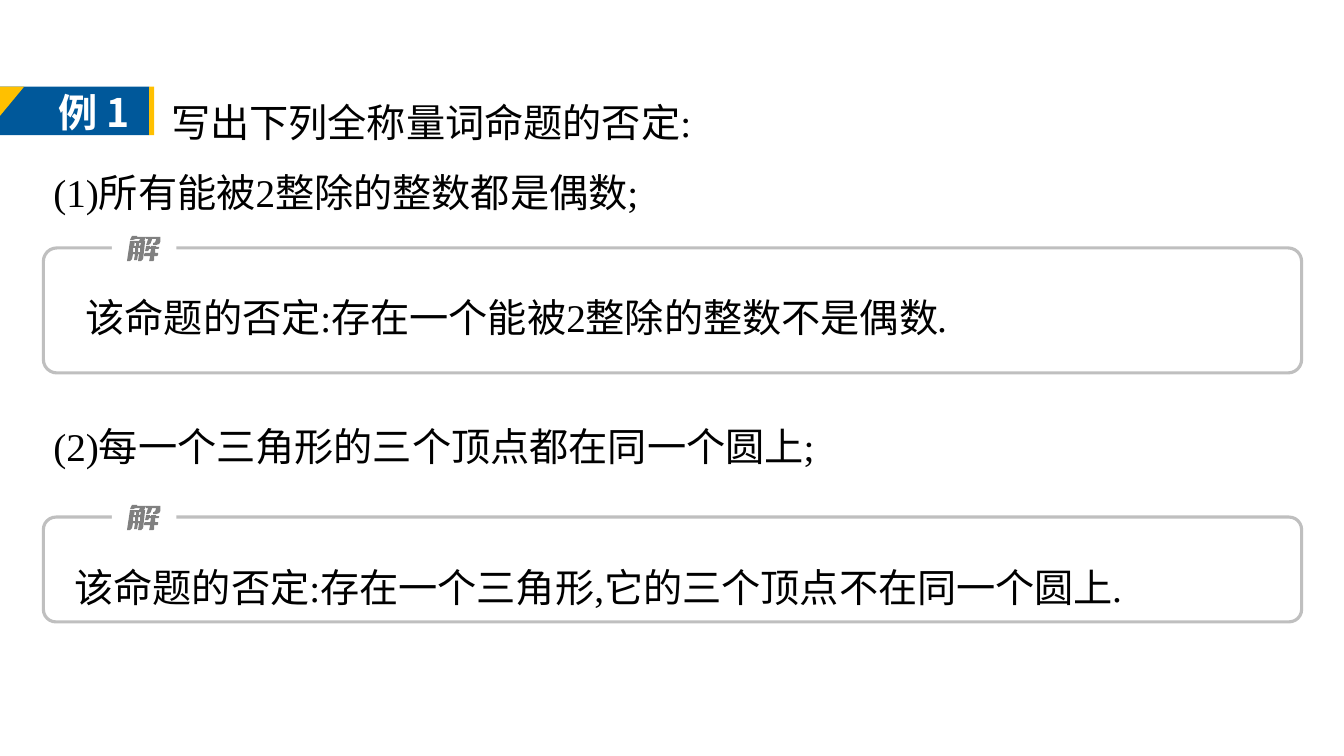
import pptx
import pptx.util
import pptx.dml.color
import pptx.enum.shapes
import pptx.enum.text

PX = 9144
THEME = {
    "black": "000000", "white": "FFFFFF", "blue": "00589A", "gold": "FFC000",
    "edge": "BFBFBF", "gray": "808080",
    "serif": "Times New Roman", "sans": "Noto Sans CJK SC",
    "size": 28, "rule": 2.25, "space": 1.5,
}

TEXTS = [
    ((43, 69, 1248, 144), [
        (117, ["写出下列全称量词命题的否定:"]),
        (0, ["(1)所有能被2整除的整数都是偶数;"]),
    ]),
    ((75, 263, 1182, 73), [(0, ["该命题的否定:存在一个能被2整除的整数不是偶数", "."])]),
    ((43, 391, 1248, 73), [(0, ["(2)每一个三角形的三个顶点都在同一个圆上;"])]),
    ((64, 531, 1206, 73), [(0, ["该命题的否定:存在一个三角形,它的三个顶点不在同一个圆上", "."])]),
]
PANELS = [((43, 246, 1248, 124), 0.108), ((43, 513, 1248, 104), 0.12)]
BADGE = [
    ("RECTANGLE", (0, 86, 148, 48), "blue", False),
    ("RIGHT_TRIANGLE", (0, 86, 24, 29), "gold", True),
    ("RECTANGLE", (148, 86, 5, 48), "gold", False),
]
MARK = ((48, 83, 100, 57), [("例 ", "serif"), ("1", "sans")])
GLYPH = [
    [(11, 12), (11, 16), (13, 16), (13, 12)],
    [(6, 12), (6, 16), (8, 16), (8, 12)],
    [(25, 10), (29, 10), (29, 11), (32, 11), (32, 12), (31, 13), (28, 13),
     (28, 17), (31, 17), (31, 19), (30, 20), (27, 20), (27, 24), (26, 25),
     (22, 25), (23, 20), (17, 20), (17, 18), (18, 17), (23, 17), (24, 13),
     (22, 13), (21, 15), (20, 15), (18, 15), (19, 10), (23, 10), (23, 11),
     (24, 11), (24, 10)],
    [(12, 7), (12, 10), (13, 10), (14, 7)],
    [(20, 1), (33, 1), (33, 6), (32, 8), (29, 9), (26, 9), (26, 7), (27, 7),
     (28, 6), (29, 3), (25, 3), (24, 6), (23, 8), (21, 9), (19, 9), (21, 3),
     (19, 3), (19, 1)],
    [(5, 0), (10, 0), (10, 1), (18, 1), (19, 1), (17, 5), (18, 5), (16, 23),
     (15, 24), (14, 25), (11, 25), (12, 18), (11, 18), (10, 24), (7, 24),
     (8, 18), (6, 18), (5, 23), (4, 24), (3, 25), (0, 25), (3, 5), (8, 5),
     (7, 10), (9, 10), (9, 7), (8, 7), (8, 5), (12, 5), (13, 3), (9, 3),
     (6, 4), (3, 4)],
]


def emu(box):
    return [n * PX for n in box]


def tint(name):
    return pptx.dml.color.RGBColor.from_string(THEME[name])


def paint(shape, fill=None, line=None):
    shape.shadow.inherit = False
    if fill:
        shape.fill.solid()
        shape.fill.fore_color.rgb = tint(fill)
    else:
        shape.fill.background()
    if line:
        shape.line.color.rgb = tint(line)
        shape.line.width = pptx.util.Pt(THEME["rule"])
    else:
        shape.line.fill.background()


def draw(group, kind, box, fill=None, line=None):
    preset = getattr(pptx.enum.shapes.MSO_SHAPE, kind)
    shape = group.shapes.add_shape(preset, *emu(box))
    paint(shape, fill, line)
    return shape


def write(para, text, color, font, **extra):
    run = para.add_run()
    run.text = text
    form = {"size": pptx.util.Pt(THEME["size"]), "name": THEME[font], **extra}
    for key, value in form.items():
        setattr(run.font, key, value)
    run.font.color.rgb = tint(color)


def frame(parent, box):
    text = parent.shapes.add_textbox(*emu(box)).text_frame
    form = {"word_wrap": True,
            "auto_size": pptx.enum.text.MSO_AUTO_SIZE.SHAPE_TO_FIT_TEXT}
    for key, value in form.items():
        setattr(text, key, value)
    return text


def prose(slide, box, lines):
    text = frame(slide, box)
    for row, (indent, parts) in enumerate(lines):
        para = text.add_paragraph() if row else text.paragraphs[0]
        para.line_spacing = THEME["space"]
        if indent:
            para._p.get_or_add_pPr().set("indent", str(indent * PX))
        for part in parts:
            write(para, part, "black", "serif", italic=part == ".")


def badge(slide):
    group = slide.shapes.add_group_shape()
    for kind, box, fill, flip in BADGE:
        shape = draw(group, kind, box, fill)
        if flip:
            shape._element.spPr.xfrm.set("flipV", "1")
    box, parts = MARK
    para = frame(group, box).paragraphs[0]
    for part, font in parts:
        write(para, part, "white", font, bold=True)


def panel(slide, box, curve):
    group = slide.shapes.add_group_shape()
    draw(group, "ROUNDED_RECTANGLE", box, line="edge").adjustments[0] = curve
    left, top = box[:2]
    draw(group, "RECTANGLE", (left + 68, top - 13, 64, 24), "white")
    paths = [[(x + left + 83, y + top - 12) for x, y in path] for path in GLYPH]
    pen = group.shapes.build_freeform(*paths[0][0], scale=PX)
    for path in paths:
        pen.move_to(*path[0])
        pen.add_line_segments(path[1:], close=True)
    paint(pen.convert_to_shape(), "gray")


def main():
    deck = pptx.Presentation()
    deck.slide_width, deck.slide_height = emu((1333, 750))
    slide = deck.slides.add_slide(deck.slide_layouts[6])
    prose(slide, *TEXTS[0])
    badge(slide)
    prose(slide, *TEXTS[1])
    panel(slide, *PANELS[0])
    for item in TEXTS[2:]:
        prose(slide, *item)
    panel(slide, *PANELS[1])
    deck.save("out.pptx")


if __name__ == "__main__":
    main()
